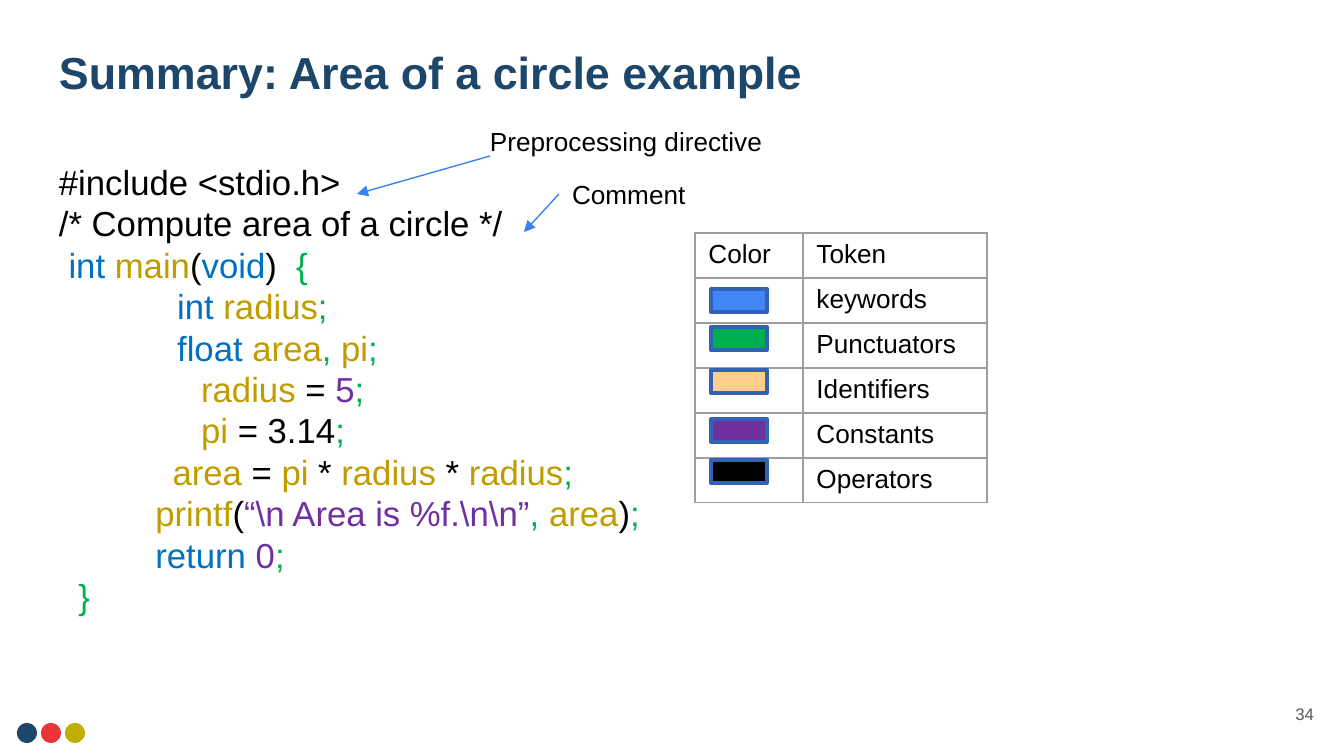
from lxml import etree
from pptx import Presentation, util as u
from pptx.dml.color import RGBColor
from pptx.enum import shapes, text
from pptx.oxml import ns

PX = 6804  # EMU in one px: the page is 1344 px wide
FONT = "Arial"
BLACK = RGBColor(0x00, 0x00, 0x00)
NAVY = RGBColor(0x1D, 0x46, 0x6B)
RED = RGBColor(0xEB, 0x34, 0x3A)
OLIVE = RGBColor(0xC0, 0xAE, 0x00)
GRAY = RGBColor(0x59, 0x59, 0x59)
GRID = RGBColor(0x9E, 0x9E, 0x9E)
ARROW = RGBColor(0x3C, 0x81, 0xF3)
FRAME = RGBColor(0x31, 0x62, 0xB5)
SKY = RGBColor(0x42, 0x85, 0xF4)
PEACH = RGBColor(0xFF, 0xCD, 0x8C)
KEYWORD = RGBColor(0x00, 0x70, 0xC0)
NAME = RGBColor(0xC0, 0x9C, 0x00)
PUNCT = RGBColor(0x00, 0xB0, 0x50)
CONST = RGBColor(0x70, 0x30, 0xA0)

END = (";", PUNCT)
EQUALS = (" = ", BLACK)
TIMES = (" * ", BLACK)
TABS = ("\t\t", BLACK)
MARGIN = (" " * 10, BLACK)
AREA, PI, RADIUS = ("area", NAME), ("pi", NAME), ("radius", NAME)

# Each code line: hanging indent in px, then its coloured spans
CODE = [
    (51, [("#include <stdio.h>", BLACK)]),
    (51, [("/* Compute area of a circle */", BLACK)]),
    (51, [(" ", BLACK), ("int ", KEYWORD), ("main", NAME), ("(", BLACK),
          ("void", KEYWORD), (")  ", BLACK), ("{", PUNCT)]),
    (51, [TABS, ("int ", KEYWORD), RADIUS, END]),
    (51, [TABS, ("float ", KEYWORD), AREA, (", ", PUNCT), PI, END]),
    (75, [TABS, RADIUS, EQUALS, ("5", CONST), END]),
    (75, [TABS, PI, (" = 3.14", BLACK), END]),
    (75, [("  \t    ", BLACK), AREA, EQUALS, PI, TIMES, RADIUS, TIMES, RADIUS, END]),
    (75, [MARGIN, ("printf", NAME), ("(", BLACK), ("“\\n Area is %f.\\n\\n”", CONST),
          (", ", PUNCT), AREA, (")", BLACK), END]),
    (75, [MARGIN, ("return ", KEYWORD), ("0", CONST), END]),
    (75, [("  ", BLACK), ("}", PUNCT)]),
]

# Token name, swatch colour and swatch top within the table
TOKENS = [
    ("keywords", SKY, 56),
    ("Punctuators", PUNCT, 94),
    ("Identifiers", PEACH, 137),
    ("Constants", CONST, 186),
    ("Operators", BLACK, 227),
]


def px(*lengths):
    return [u.Emu(length * PX) for length in lengths]


def add_span(para, words, size=14, color=BLACK, bold=False):
    span = para.add_run()
    span.text = words
    span.font.name, span.font.size, span.font.bold = FONT, u.Pt(size), bold
    span.font.color.rgb = color


def add_box(page, box, inset=13, anchor=text.MSO_ANCHOR.TOP):
    frame = page.shapes.add_textbox(*px(*box)).text_frame
    frame.word_wrap = True
    frame.vertical_anchor = anchor
    frame.margin_left, frame.margin_right = px(13, 13)
    frame.margin_top, frame.margin_bottom = px(inset, inset)
    return frame


def add_text(page, box, words, align=text.PP_ALIGN.LEFT, inset=13,
             anchor=text.MSO_ANCHOR.MIDDLE, **style):
    para = add_box(page, box, inset, anchor).paragraphs[0]
    para.alignment = align
    add_span(para, words, **style)


def add_filled(page, kind, box, color):
    shape = page.shapes.add_shape(kind, *px(*box))
    shape.shadow.inherit = False
    shape.fill.solid()
    shape.fill.fore_color.rgb = color
    shape.line.fill.background()
    return shape


def add_dots(page, left, top):
    for index, color in enumerate((NAVY, RED, OLIVE)):
        add_filled(page, shapes.MSO_SHAPE.OVAL, (left + 24 * index, top, 20, 20), color)


def add_code(page, box):
    frame = add_box(page, box)
    for index, (indent, spans) in enumerate(CODE):
        para = frame.add_paragraph() if index else frame.paragraphs[0]
        para.line_spacing = 0.8
        para.space_before = u.Pt(4.3 if index else 0)
        props = para._p.get_or_add_pPr()
        props.set("marL", str(indent * PX))
        props.set("indent", str(-indent * PX))
        for words, color in spans:
            add_span(para, words, size=18.6, color=color)


def add_borders(cell):
    props = cell._tc.get_or_add_tcPr()
    for index, side in enumerate(("lnL", "lnR", "lnT", "lnB")):
        line = etree.Element(ns.qn(f"a:{side}"), w=str(u.Pt(0.75)))
        fill = etree.SubElement(line, ns.qn("a:solidFill"))
        etree.SubElement(fill, ns.qn("a:srgbClr"), val=str(GRID))
        props.insert(index, line)


def add_legend(page, left, top):
    widths, height = (108, 184), 45
    rows = [("Color", "Token")] + [("", token) for token, _, _ in TOKENS]
    table = page.shapes.add_table(
        len(rows), 2, *px(left, top, sum(widths), height * len(rows))).table
    table.first_row = table.horz_banding = False
    for column, width in zip(table.columns, px(*widths)):
        column.width = width
    for row_index, row in enumerate(rows):
        table.rows[row_index].height = px(height)[0]
        for column_index, words in enumerate(row):
            cell = table.cell(row_index, column_index)
            cell.fill.background()
            add_borders(cell)
            para = cell.text_frame.paragraphs[0]
            if words:
                add_span(para, words)
            else:  # keeps the empty cell as low as its row
                etree.SubElement(para._p, ns.qn("a:endParaRPr"), sz="1400")
    # Colour swatches
    for _, color, offset in TOKENS:
        swatch = add_filled(page, shapes.MSO_SHAPE.RECTANGLE,
                            (left + 16, top + offset, 56, 23), color)
        swatch.line.color.rgb = FRAME
        swatch.line.width = u.Pt(2)


def add_callout(page, box, words, start, end):
    add_text(page, box, words, inset=7, anchor=text.MSO_ANCHOR.TOP)
    left, top = box[:2]
    arrow = page.shapes.add_connector(
        shapes.MSO_CONNECTOR.STRAIGHT,
        *px(left + start[0], top + start[1], left + end[0], top + end[1]))
    arrow.line.color.rgb = ARROW
    arrow.line.width = u.Pt(0.75)
    etree.SubElement(arrow.line._get_or_add_ln(), ns.qn("a:tailEnd"), type="triangle")
    etree.SubElement(arrow._element.spPr, ns.qn("a:effectLst"))


def main():
    deck = Presentation()
    deck.slide_width, deck.slide_height = px(1344, 756)
    page = deck.slides.add_slide(deck.slide_layouts[6])

    add_dots(page, 17, 723)
    add_text(page, (46, 31, 1253, 82), "Summary: Area of a circle example",
             size=24, color=NAVY, bold=True)
    add_code(page, (46, 156, 1253, 516))
    add_text(page, (1246, 685, 81, 58), "34", align=text.PP_ALIGN.RIGHT,
             size=9, color=GRAY)
    add_callout(page, (477, 118, 339, 46), "Preprocessing directive", (13, 38), (-120, 76))
    add_callout(page, (559, 171, 339, 46), "Comment", (0, 23), (-35, 61))
    add_legend(page, 695, 233)

    deck.save("out.pptx")


if __name__ == "__main__":
    main()
